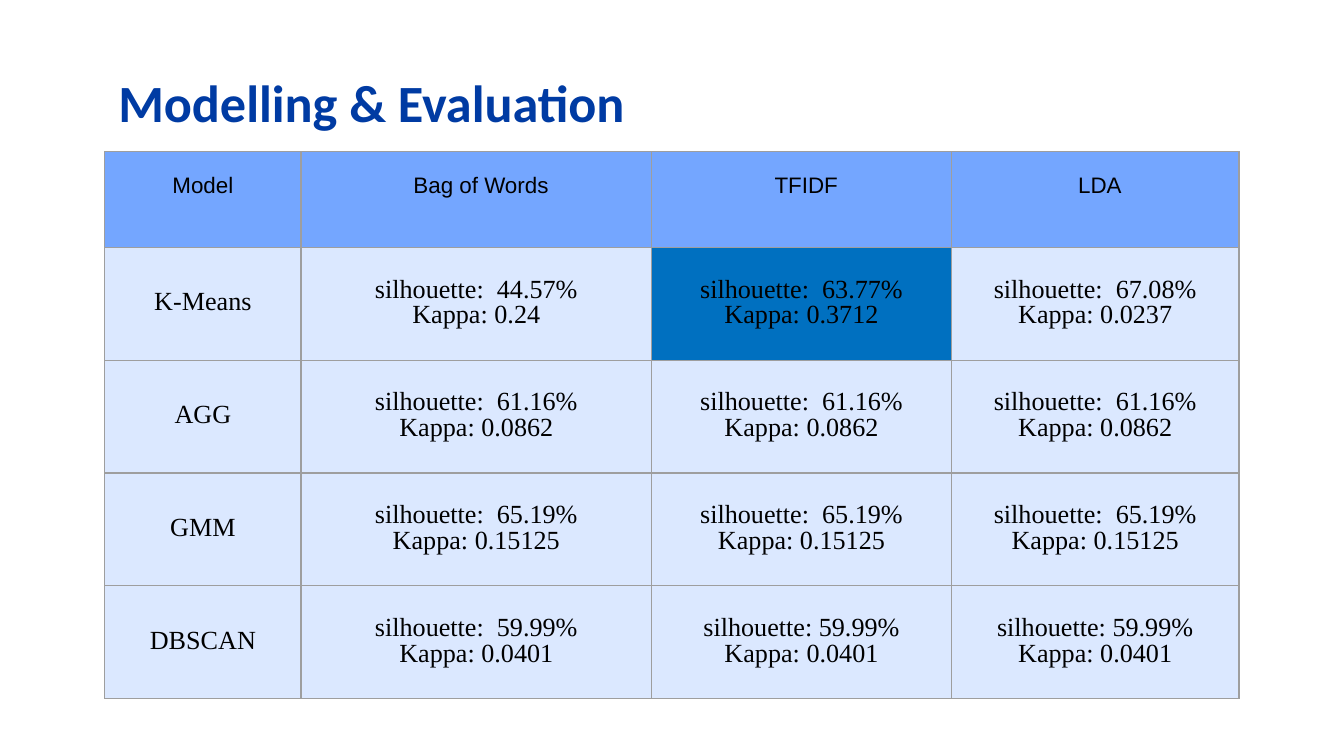
from lxml import etree
from pptx import Presentation
from pptx.dml.color import RGBColor
from pptx.enum.text import MSO_ANCHOR, MSO_AUTO_SIZE, PP_ALIGN
from pptx.oxml.ns import qn
from pptx.util import Inches, Pt

TOP, MIDDLE = MSO_ANCHOR.TOP, MSO_ANCHOR.MIDDLE
LEFT, CENTER = PP_ALIGN.LEFT, PP_ALIGN.CENTER
FIXED = MSO_AUTO_SIZE.NONE

COLORS = {
    "title": "003BA3",
    "head": "74A6FF",
    "body": "DBE8FF",
    "best": "0070C0",
    "text": "000000",
    "rule": "9E9E9E",
}
TITLE = {"name": "Calibri", "size": Pt(28), "bold": True}
HEAD = {"name": "Arial", "size": Pt(12), "bold": False}
BODY = {"name": "Times New Roman", "size": Pt(14), "bold": False}

WIDTHS = [1.46, 2.61, 2.23, 2.14]
HEIGHTS = [0.71] + [0.84] * 4
HEADERS = ["Model", "Bag of Words", "TFIDF", "LDA"]
SCORES = {
    "K-Means": [(" 44.57%", "0.24"), (" 63.77%", "0.3712"), (" 67.08%", "0.0237")],
    "AGG": [(" 61.16%", "0.0862")] * 3,
    "GMM": [(" 65.19%", "0.15125")] * 3,
    "DBSCAN": [(" 59.99%", "0.0401")] + [("59.99%", "0.0401")] * 2,
}
BEST = (1, 2)


def rgb(key):
    return RGBColor.from_string(COLORS[key])


def style(font, look, color):
    for name, value in look.items():
        setattr(font, name, value)
    font.color.rgb = rgb(color)


def add_title(slide):
    title = slide.shapes.title
    box = {"left": 0.78, "top": 0.42, "width": 8.44, "height": 0.63}
    for name, value in box.items():
        setattr(title, name, Inches(value))
    frame = title.text_frame
    frame.auto_size = FIXED
    frame.vertical_anchor = TOP
    for side in ("left", "right", "top", "bottom"):
        setattr(frame, f"margin_{side}", Inches(0.1))
    para = frame.paragraphs[0]
    para.alignment = LEFT
    run = para.add_run()
    run.text = "Modelling & Evaluation"
    style(run.font, TITLE, "title")


def add_rules(cell):
    props = cell._tc.get_or_add_tcPr()
    for side in ("L", "R", "T", "B"):
        line = etree.SubElement(props, qn(f"a:ln{side}"), w=str(Pt(0.75)))
        fill = etree.SubElement(line, qn("a:solidFill"))
        etree.SubElement(fill, qn("a:srgbClr"), val=COLORS["rule"])


def fill_cell(cell, lines, look, fill, anchor, pitch, drop=0, shift=0):
    add_rules(cell)
    cell.fill.solid()
    cell.fill.fore_color.rgb = rgb(fill)
    cell.vertical_anchor = anchor
    cell.margin_right = cell.margin_bottom = 0
    cell.margin_left = Inches(shift)
    cell.margin_top = Inches(drop)
    frame = cell.text_frame
    frame.text = "\n".join(lines)
    for para in frame.paragraphs:
        para.alignment = CENTER
        para.line_spacing = Pt(pitch)
        style(para.runs[0].font, look, "text")


def add_scores(slide):
    frame = slide.shapes.add_table(
        len(HEIGHTS), len(WIDTHS), Inches(0.78), Inches(1.13),
        Inches(sum(WIDTHS)), Inches(sum(HEIGHTS)))
    table = frame.table
    table.first_row = table.horz_banding = False
    for column, width in zip(table.columns, WIDTHS):
        column.width = Inches(width)
    for row, height in zip(table.rows, HEIGHTS):
        row.height = Inches(height)
    for col, label in enumerate(HEADERS):
        shift = 0.07 if col else 0
        fill_cell(table.cell(0, col), [label], HEAD, "head", TOP, 12.8, 0.17, shift)
    for row, (model, pairs) in enumerate(SCORES.items(), 1):
        texts = [[model]]
        texts += [[f"silhouette: {s}", f"Kappa: {k}"] for s, k in pairs]
        for col, lines in enumerate(texts):
            fill = "best" if (row, col) == BEST else "body"
            fill_cell(table.cell(row, col), lines, BODY, fill, MIDDLE, 13.8)


def main():
    deck = Presentation()
    deck.slide_width = Inches(10)
    deck.slide_height = deck.slide_width * 9 // 16
    slide = deck.slides.add_slide(deck.slide_layouts[5])
    add_title(slide)
    add_scores(slide)
    deck.save("out.pptx")


if __name__ == "__main__":
    main()
